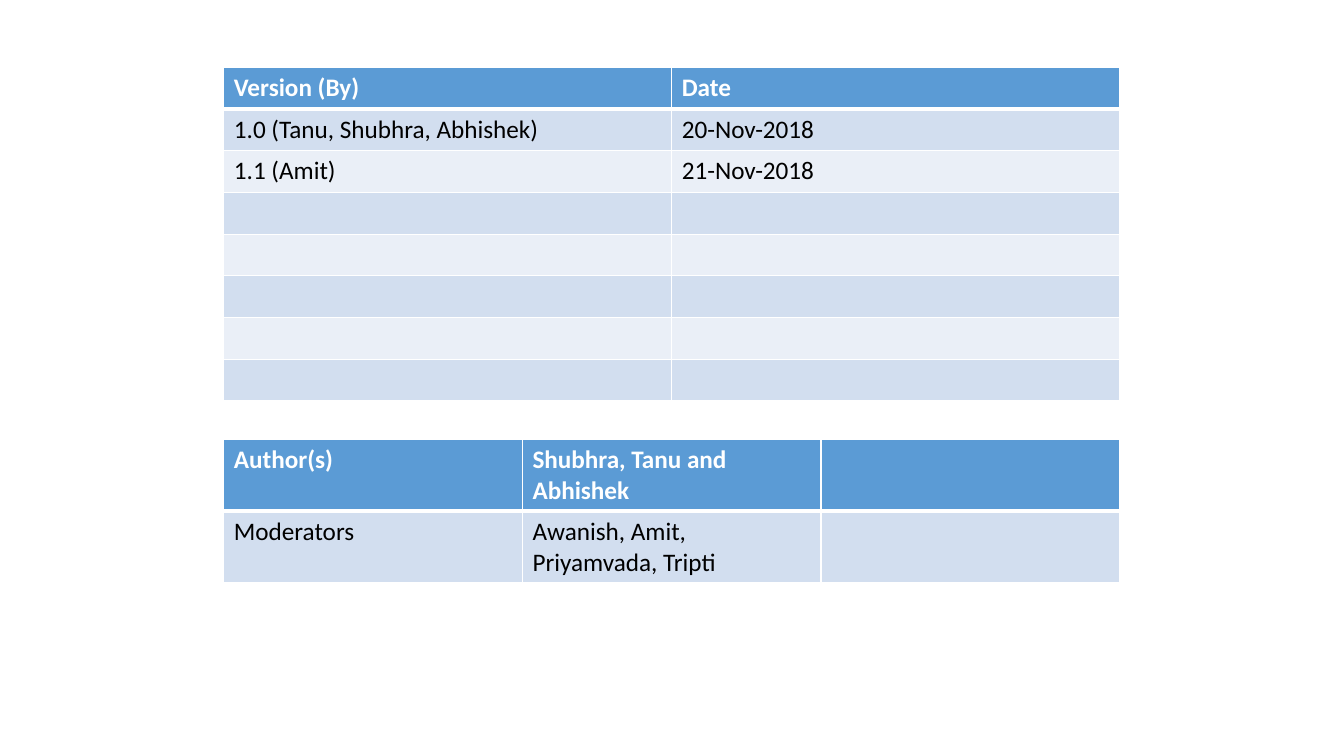
"""Build a version history slide with two banded tables."""
from dataclasses import dataclass

import pptx
import pptx.dml.color
import pptx.oxml.ns
import pptx.util
from lxml import etree
from pptx.util import Cm


@dataclass(frozen=True)
class Theme:
    """Colours, type and line widths of the slide."""
    font: str = "Calibri"
    size: int = 18
    header_fill: str = "5B9BD5"
    band_fills: tuple = ("D2DEEF", "EAEFF7")
    header_text: str = "FFFFFF"
    body_text: str = "000000"
    rule: str = "FFFFFF"
    thin: int = 1
    thick: int = 3


def colour(code):
    """Turn a hex code into a colour."""
    return pptx.dml.color.RGBColor.from_string(code)


def write_text(frame, text, *, font, size, color, bold=False):
    """Write one formatted span into a text frame."""
    span = frame.paragraphs[0].add_run()
    span.text = text
    span.font.name = font
    span.font.size = pptx.util.Pt(size)
    span.font.bold = bold
    span.font.color.rgb = colour(color)


def draw_border(cell, side, width, color):
    """Draw one side (L, R, T or B) of a cell's border."""
    qn = pptx.oxml.ns.qn
    properties = cell._tc.get_or_add_tcPr()
    line = etree.SubElement(properties, qn(f"a:ln{side}"), w=str(pptx.util.Pt(width)))
    fill = etree.SubElement(line, qn("a:solidFill"))
    etree.SubElement(fill, qn("a:srgbClr"), val=color)


class Page:
    """Holds the theme and the current slide."""

    def __init__(self, deck, theme):
        """Add a blank slide to the deck."""
        self.theme = theme
        self.slide = deck.slides.add_slide(deck.slide_layouts[6])

    def table(self, rows, left, top, width, row_height):
        """Add a banded table with equal columns and a header row."""
        columns = len(rows[0])
        frame = self.slide.shapes.add_table(
            len(rows), columns, left, top, width, row_height * len(rows))
        table = frame.table
        for column in table.columns:
            column.width = width // columns
        for index, texts in enumerate(rows):
            table.rows[index].height = row_height
            for cell, text in zip(table.rows[index].cells, texts):
                self.cell(cell, text, index)

    def cell(self, cell, text, row):
        """Style one cell by its row and write its text."""
        theme = self.theme
        header = row == 0
        thick_side = {0: "B", 1: "T"}.get(row)
        for side in "LRTB":
            width = theme.thick if side == thick_side else theme.thin
            draw_border(cell, side, width, theme.rule)
        cell.fill.solid()
        cell.fill.fore_color.rgb = colour(
            theme.header_fill if header else theme.band_fills[(row - 1) % 2])
        if text:
            write_text(cell.text_frame, text, font=theme.font, size=theme.size,
                       color=theme.header_text if header else theme.body_text,
                       bold=header)


def main():
    """Build and save the deck."""
    deck = pptx.Presentation()
    deck.slide_width, deck.slide_height = Cm(33.87), Cm(19.05)
    page = Page(deck, Theme())
    left, width = Cm(5.64), Cm(22.58)

    empty_rows = [("", "")] * 5
    versions = [("Version (By)", "Date"),
                ("1.0 (Tanu, Shubhra, Abhishek)", "20-Nov-2018"),
                ("1.1 (Amit)", "21-Nov-2018"),
                *empty_rows]
    people = [("Author(s)", "Shubhra, Tanu and Abhishek", ""),
              ("Moderators", "Awanish, Amit, Priyamvada, Tripti", "")]
    page.table(people, left, Cm(11.08), width, Cm(1.78))
    page.table(versions, left, Cm(1.7), width, Cm(1.05))
    deck.save("out.pptx")


main()
